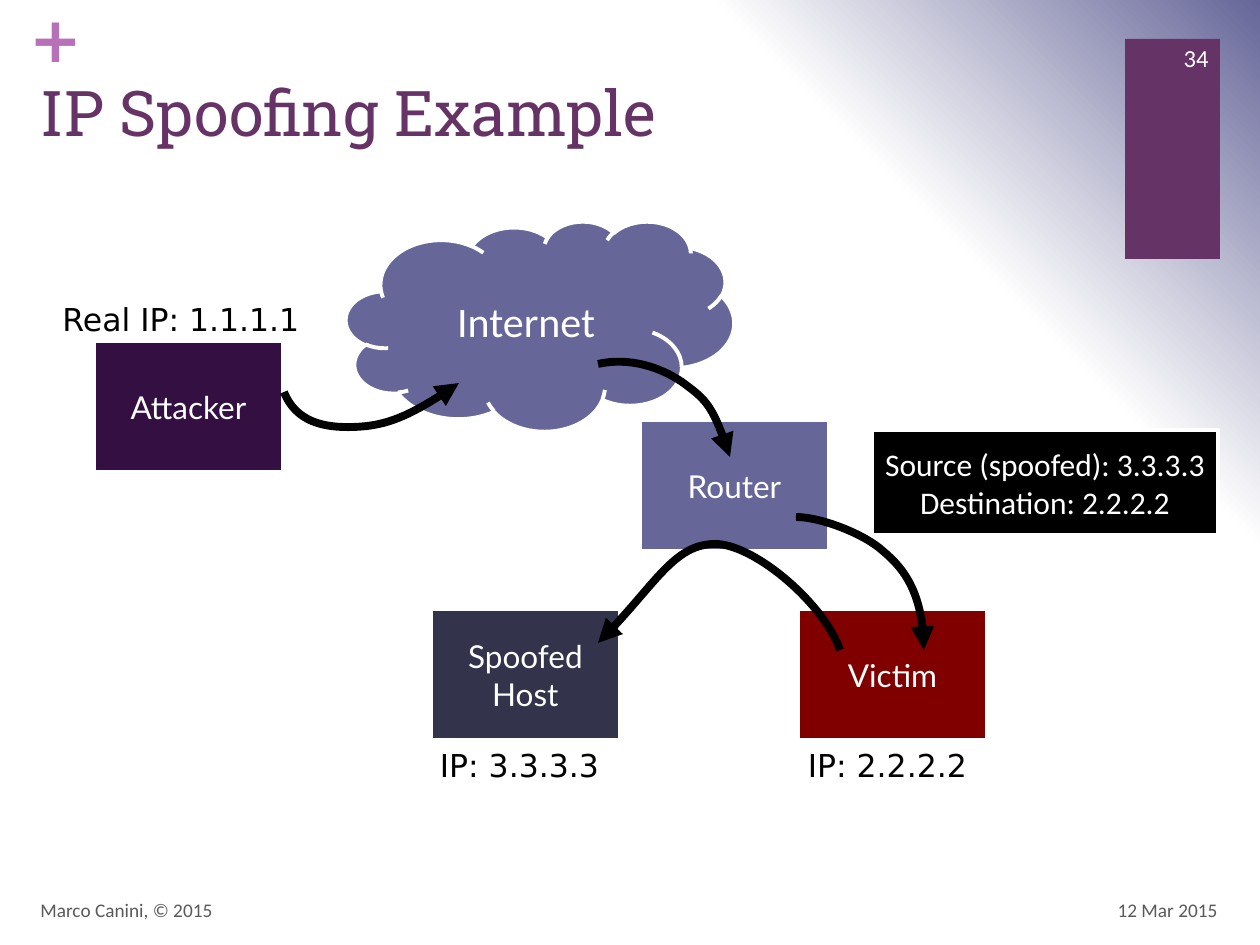
from lxml.etree import SubElement
from pptx import Presentation
from pptx.dml.color import RGBColor
from pptx.enum.shapes import MSO_SHAPE
from pptx.enum.text import MSO_ANCHOR, MSO_AUTO_SIZE, PP_ALIGN
from pptx.oxml import parse_xml
from pptx.oxml.ns import nsdecls, qn
from pptx.util import Emu, Pt

SCALE = 914400 / 126
COLORS = {
    "white": "FFFFFF", "black": "000000", "plum": "663366", "orchid": "B870B8",
    "attacker": "330F42", "network": "666699", "spoofed": "33334C",
    "victim": "800000", "footer": "595959",
}
HOST_SIZE = (189, 131)
HOSTS = [
    ("Attacker", 94, 341, "attacker"), ("Router", 640, 420, "network"),
    ("Spoofed\vHost", 431, 609, "spoofed"), ("Victim", 798, 609, "victim"),
]
ROUTES = [
    [(796, 517), (822, 517), (866, 535), (883, 551), (901, 566), (924, 593), (924, 650)],
    [(598, 364), (629, 357), (660, 367), (682, 382), (704, 398), (714, 407), (730, 457)],
    [(840, 650), (825, 605), (757, 546), (717, 544), (677, 543), (654, 587), (598, 643)],
    [(284, 392), (296, 422), (324, 428), (354, 427), (383, 426), (412, 416), (459, 383)],
]
ADDRESSES = [
    ("Real IP: 1.1.1.1", 42, 294, 278),
    ("IP: 3.3.3.3", 420, 740, 199),
    ("IP: 2.2.2.2", 788, 740, 199),
]


def px(length):
    return Emu(round(length * SCALE))


def color(name):
    return RGBColor.from_string(COLORS[name])


def set_values(target, values):
    for name, value in values.items():
        setattr(target, name, value)


def write_text(shape, text, size, font, ink, align=PP_ALIGN.LEFT, **frame_format):
    frame = shape.text_frame
    set_values(frame, {"word_wrap": True, "auto_size": MSO_AUTO_SIZE.NONE, **frame_format})
    frame.text = text
    paragraph = frame.paragraphs[0]
    paragraph.alignment = align
    for run in paragraph.runs:
        set_values(run.font, {"size": Pt(size), "name": font, "bold": False})
        run.font.color.rgb = color(ink)
    return paragraph


def add_label(slide, box, text, size, font, ink, align=PP_ALIGN.LEFT, **frame_format):
    shape = slide.shapes.add_textbox(*map(px, box))
    return write_text(shape, text, size, font, ink, align, **frame_format)


def add_block(slide, preset, box, fill):
    shape = slide.shapes.add_shape(preset, *map(px, box))
    shape.shadow.inherit = False
    shape.fill.solid()
    shape.fill.fore_color.rgb = color(fill)
    shape.line.fill.background()
    return shape


def add_node(slide, preset, box, fill, text, size=18, font="Lato"):
    shape = add_block(slide, preset, box, fill)
    shape.line.color.rgb = color("white")
    shape.line.width = Pt(2.25)
    write_text(shape, text, size, font, "white", PP_ALIGN.CENTER,
               vertical_anchor=MSO_ANCHOR.MIDDLE)


def add_route(slide, points):
    builder = slide.shapes.build_freeform(*points[0], scale=SCALE)
    builder.add_line_segments(points[1:], close=False)
    shape = builder.convert_to_shape()
    outline = next(shape.element.iter(qn("a:path")))
    segments = outline.findall(qn("a:lnTo"))
    for start in range(0, len(segments), 3):
        curve = SubElement(outline, qn("a:cubicBezTo"))
        for segment in segments[start:start + 3]:
            curve.append(segment[0])
            outline.remove(segment)
    shape.shadow.inherit = False
    shape.fill.background()
    shape.line.color.rgb = color("black")
    shape.line.width = Pt(4.5)
    SubElement(shape.line._get_or_add_ln(), qn("a:tailEnd"), type="triangle")


def set_background(slide):
    slide.background.fill.solid()
    properties = next(slide.element.iter(qn("p:bgPr")))
    stops = "".join(
        f'<a:gs pos="{position * 1000}"><a:srgbClr val="{COLORS[name]}"/></a:gs>'
        for position, name in [(0, "white"), (75, "white"), (100, "network")]
    )
    gradient = parse_xml(
        f'<a:gradFill {nsdecls("a")} rotWithShape="0"><a:gsLst>{stops}</a:gsLst>'
        '<a:path path="circle"><a:fillToRect t="100000" r="100000"/></a:path></a:gradFill>'
    )
    properties.replace(properties[0], gradient)


def add_title(slide):
    title = slide.shapes.title
    box = zip(("left", "top", "width", "height"), map(px, (28, 67, 1082, 154)))
    set_values(title, dict(box))
    write_text(title, "IP Spoofing Example", 36, "Roboto Slab", "plum",
               vertical_anchor=MSO_ANCHOR.TOP)


def add_decoration(slide):
    add_block(slide, MSO_SHAPE.RECTANGLE, (1125, 39, 95, 220), "plum")
    margins = dict.fromkeys(
        ("margin_left", "margin_top", "margin_right", "margin_bottom"), 0)
    plus = add_label(slide, (30, 0, 37, 77), "+", 36, "DejaVu Sans", "orchid", **margins)
    plus.runs[0].font.bold = True


def add_footer(slide):
    middle = {"vertical_anchor": MSO_ANCHOR.MIDDLE}
    add_label(slide, (936, 885, 294, 50), "12 Mar 2015", 11, "Calibri", "footer",
              PP_ALIGN.RIGHT, **middle)
    add_label(slide, (28, 885, 844, 50), "Marco Canini, © 2015", 11, "Calibri", "footer",
              **middle)
    add_label(slide, (1144, 33, 77, 50), "34", 14, "Calibri", "white",
              PP_ALIGN.RIGHT, **middle)


def main():
    presentation = Presentation()
    set_values(presentation, {"slide_width": px(1260), "slide_height": px(945)})
    slide = presentation.slides.add_slide(presentation.slide_layouts[5])
    set_background(slide)
    add_decoration(slide)
    add_title(slide)
    add_node(slide, MSO_SHAPE.CLOUD, (346, 221, 388, 210), "network", "Internet", 24, "Calibri")
    for text, left, top, fill in HOSTS:
        add_node(slide, MSO_SHAPE.RECTANGLE, (left, top, *HOST_SIZE), fill, text)
    for points in ROUTES:
        add_route(slide, points)
    for text, left, top, width in ADDRESSES:
        add_label(slide, (left, top, width, 50), text, 18, "DejaVu Sans", "black",
                  PP_ALIGN.CENTER, word_wrap=False)
    add_node(slide, MSO_SHAPE.RECTANGLE, (872, 430, 346, 105), "black",
             "Source (spoofed): 3.3.3.3\vDestination: 2.2.2.2", 18, "Calibri")
    add_footer(slide)
    presentation.save("out.pptx")


if __name__ == "__main__":
    main()
